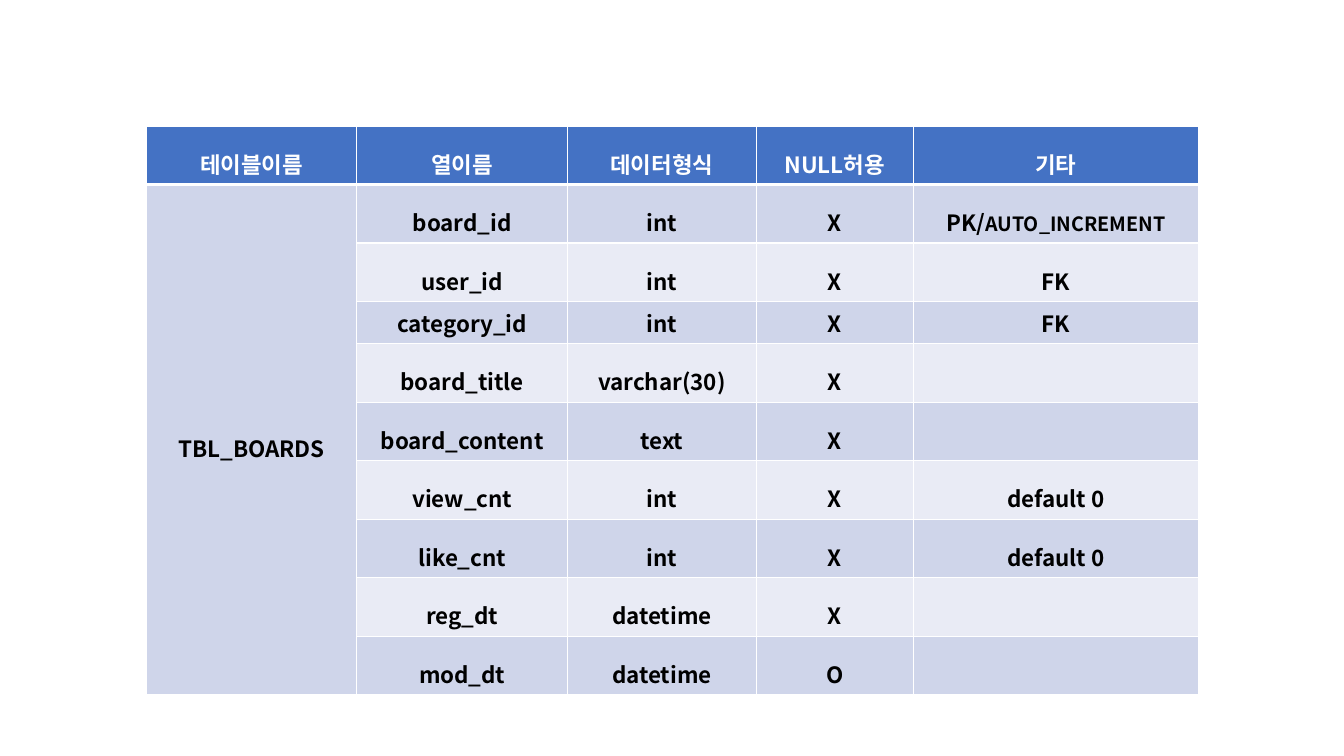
from pptx import Presentation
from pptx.dml.color import RGBColor
from pptx.enum.text import MSO_ANCHOR as Anchor, PP_ALIGN as Align
from pptx.oxml import parse_xml
from pptx.oxml.ns import nsdecls
from pptx.util import Inches, Pt

WHITE = RGBColor(0xFF, 0xFF, 0xFF)
BLACK = RGBColor(0, 0, 0)
BLUE = RGBColor(0x44, 0x72, 0xC4)
DARK = RGBColor(0xCF, 0xD5, 0xEA)
LIGHT = RGBColor(0xE9, 0xEB, 0xF5)
FONT = "Noto Sans CJK KR"

HEADS = ["테이블이름", "열이름", "데이터형식", "NULL허용", "기타"]
FIELDS = [
    ("board_id", "int", "X", "PK/"),
    ("user_id", "int", "X", "FK"),
    ("category_id", "int", "X", "FK"),
    ("board_title", "varchar(30)", "X", ""),
    ("board_content", "text", "X", ""),
    ("view_cnt", "int", "X", "default 0"),
    ("like_cnt", "int", "X", "default 0"),
    ("reg_dt", "datetime", "X", ""),
    ("mod_dt", "datetime", "O", ""),
]
WIDTHS = [2.09, 2.09, 1.87, 1.56, 2.83]
HEIGHTS = [0.55, 0.52, 0.4, 0.41, 0.55, 0.55, 0.4, 0.41, 0.55, 0.55]
TIGHT = 3


class Deck:
    """Hold the table style and the current slide."""

    def __init__(self, show):
        self.slide = show.slides.add_slide(show.slide_layouts[6])

    def grid(self, left, top, widths, heights):
        frame = self.slide.shapes.add_table(
            len(heights), len(widths), Inches(left), Inches(top),
            Inches(sum(widths)), Inches(sum(heights)))
        table = frame.table
        for col, width in zip(table.columns, widths):
            col.width = Inches(width)
        for row, height in zip(table.rows, heights):
            row.height = Inches(height)
        return table

    def run(self, para, text, color, size=16):
        run = para.add_run()
        run.text = text
        font = run.font
        font.name, font.size, font.bold = FONT, Pt(size), True
        font.color.rgb = color
        run._r.get_or_add_rPr().find("{*}latin").addnext(
            parse_xml(f'<a:ea {nsdecls("a")} typeface="{FONT}"/>'))

    def edge(self, cell, base):
        props = cell._tc.get_or_add_tcPr()
        for spot, side in enumerate("LRTB"):
            width = Pt(base if side == "B" else 1)
            props.insert(spot, parse_xml(
                f'<a:ln{side} {nsdecls("a")} w="{width}"><a:solidFill>'
                f'<a:srgbClr val="{WHITE}"/></a:solidFill></a:ln{side}>'))

    def cell(self, cell, text, fill, color=BLACK, space=1.5, base=1):
        cell.fill.solid()
        cell.fill.fore_color.rgb = fill
        cell.vertical_anchor = Anchor.MIDDLE
        self.edge(cell, base)
        para = cell.text_frame.paragraphs[0]
        para.alignment = Align.CENTER
        if text:
            para.line_spacing = space
            self.run(para, text, color)
        return para


def main():
    show = Presentation()
    show.slide_width, show.slide_height = Inches(13.33), Inches(7.5)
    deck = Deck(show)
    table = deck.grid(1.45, 1.25, WIDTHS, HEIGHTS)
    for col, head in enumerate(HEADS):
        deck.cell(table.cell(0, col), head, BLUE, WHITE, base=3)
    for row, field in enumerate(FIELDS, 1):
        fill = DARK if row % 2 else LIGHT
        space = 1.0 if row == TIGHT else 1.5
        for col, text in enumerate(field, 1):
            para = deck.cell(table.cell(row, col), text, fill, space=space)
            if text == "PK/":
                deck.run(para, "AUTO_INCREMENT", BLACK, 14)
    owner = table.cell(1, 0)
    owner.merge(table.cell(len(FIELDS), 0))
    deck.cell(owner, "TBL_BOARDS", DARK)
    show.save("out.pptx")


if __name__ == "__main__":
    main()
